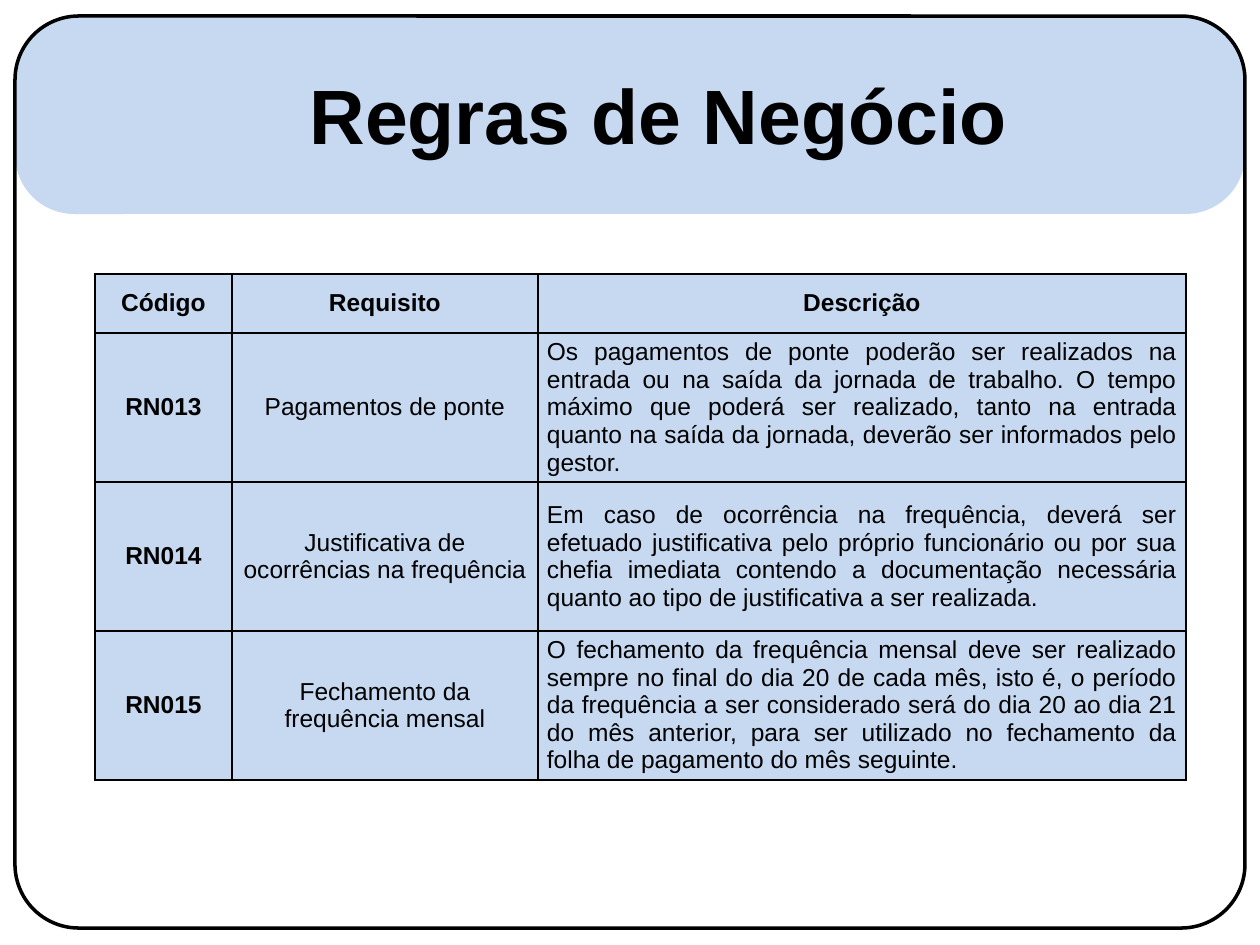
from dataclasses import dataclass

from lxml import etree
from pptx import Presentation
from pptx import util as u
from pptx.dml.color import RGBColor
from pptx.enum import shapes, text
from pptx.oxml import ns

PX = u.Inches(1) / 126
FONT = "Arial"
BLUE, BLACK = "C6D9F1", "000000"


@dataclass
class Rule:
    code: str
    name: str
    description: str


@dataclass
class Panel:
    height: int
    radius: float
    fill: str | None = None
    line: str | None = None


RULES = [
    Rule("RN013", "Pagamentos de ponte",
         "Os pagamentos de ponte poderão ser realizados na entrada ou na saída da "
         "jornada de trabalho. O tempo máximo que poderá ser realizado, tanto na "
         "entrada quanto na saída da jornada, deverão ser informados pelo gestor."),
    Rule("RN014", "Justificativa de ocorrências na frequência",
         "Em caso de ocorrência na frequência, deverá ser efetuado justificativa pelo "
         "próprio funcionário ou por sua chefia imediata contendo a documentação "
         "necessária quanto ao tipo de justificativa a ser realizada."),
    Rule("RN015", "Fechamento da frequência mensal",
         "O fechamento da frequência mensal deve ser realizado sempre no final do dia "
         "20 de cada mês, isto é, o período da frequência a ser considerado será do "
         "dia 20 ao dia 21 do mês anterior, para ser utilizado no fechamento da folha "
         "de pagamento do mês seguinte."),
]
PANELS = [Panel(198, 0.3, fill=BLUE), Panel(912, 0.07, line=BLACK)]
COLUMNS = [137, 306, 648]
HEADER_HEIGHT, RULE_HEIGHT = 59, 149


def px(n: float) -> u.Emu:
    return u.Emu(round(n * PX))


def rgb(value: str) -> RGBColor:
    return RGBColor.from_string(value)


def set_font(p, size: int, bold: bool) -> None:
    p.font.name = FONT
    p.font.size = u.Pt(size)
    p.font.bold = bold
    p.font.color.rgb = rgb(BLACK)


def add_panel(s, panel: Panel) -> None:
    sp = s.shapes.add_shape(shapes.MSO_SHAPE.ROUNDED_RECTANGLE,
                            px(15), px(16), px(1230), px(panel.height))
    sp.adjustments[0] = panel.radius
    sp.shadow.inherit = False
    if panel.fill:
        sp.fill.solid()
        sp.fill.fore_color.rgb = rgb(panel.fill)
    else:
        sp.fill.background()
    if panel.line:
        sp.line.color.rgb = rgb(panel.line)
        sp.line.width = u.Pt(2)
    else:
        sp.line.fill.background()


def add_borders(cell) -> None:
    props = cell._tc.get_or_add_tcPr()
    for i, side in enumerate(("lnL", "lnR", "lnT", "lnB")):
        ln = etree.Element(ns.qn(f"a:{side}"), w=str(u.Pt(1)))
        fill = etree.SubElement(ln, ns.qn("a:solidFill"))
        etree.SubElement(fill, ns.qn("a:srgbClr"), val=BLACK)
        props.insert(i, ln)


def fill_cell(cell, words: str, bold: bool, align) -> None:
    cell.fill.solid()
    cell.fill.fore_color.rgb = rgb(BLUE)
    cell.margin_left = cell.margin_right = px(9)
    cell.margin_top = cell.margin_bottom = 0
    cell.vertical_anchor = text.MSO_ANCHOR.MIDDLE
    cell.text = words
    p = cell.text_frame.paragraphs[0]
    p.alignment = align
    set_font(p, 14, bold)
    add_borders(cell)


def add_rules_table(s, rules: list[Rule]) -> None:
    rows = [("Código", "Requisito", "Descrição")]
    rows += [(rule.code, rule.name, rule.description) for rule in rules]
    heights = [HEADER_HEIGHT] + [RULE_HEIGHT] * len(rules)
    table = s.shapes.add_table(len(rows), len(COLUMNS), px(95), px(274),
                               px(sum(COLUMNS)), px(sum(heights))).table
    for column, width in zip(table.columns, COLUMNS):
        column.width = px(width)
    for r, (row, height) in enumerate(zip(rows, heights)):
        table.rows[r].height = px(height)
        for c, words in enumerate(row):
            justified = r > 0 and c == 2
            align = text.PP_ALIGN.JUSTIFY if justified else text.PP_ALIGN.CENTER
            fill_cell(table.cell(r, c), words, r == 0 or c == 0, align)


def place_title(s, words: str) -> None:
    title = s.shapes.title
    title.left, title.top, title.width, title.height = map(px, (297, 55, 1071, 118))
    tf = title.text_frame
    tf.text = words
    tf.vertical_anchor = text.MSO_ANCHOR.MIDDLE
    p = tf.paragraphs[0]
    p.alignment = text.PP_ALIGN.LEFT
    set_font(p, 44, True)
    # Bring the title in front of the header panel
    title.element.getparent().append(title.element)


prs = Presentation()
prs.slide_width, prs.slide_height = px(1260), px(945)
s = prs.slides.add_slide(prs.slide_layouts[5])

# Table of business rules
add_rules_table(s, RULES)

# Header panel and slide frame
for panel in PANELS:
    add_panel(s, panel)

# Title
place_title(s, "Regras de Negócio")

prs.save("out.pptx")
